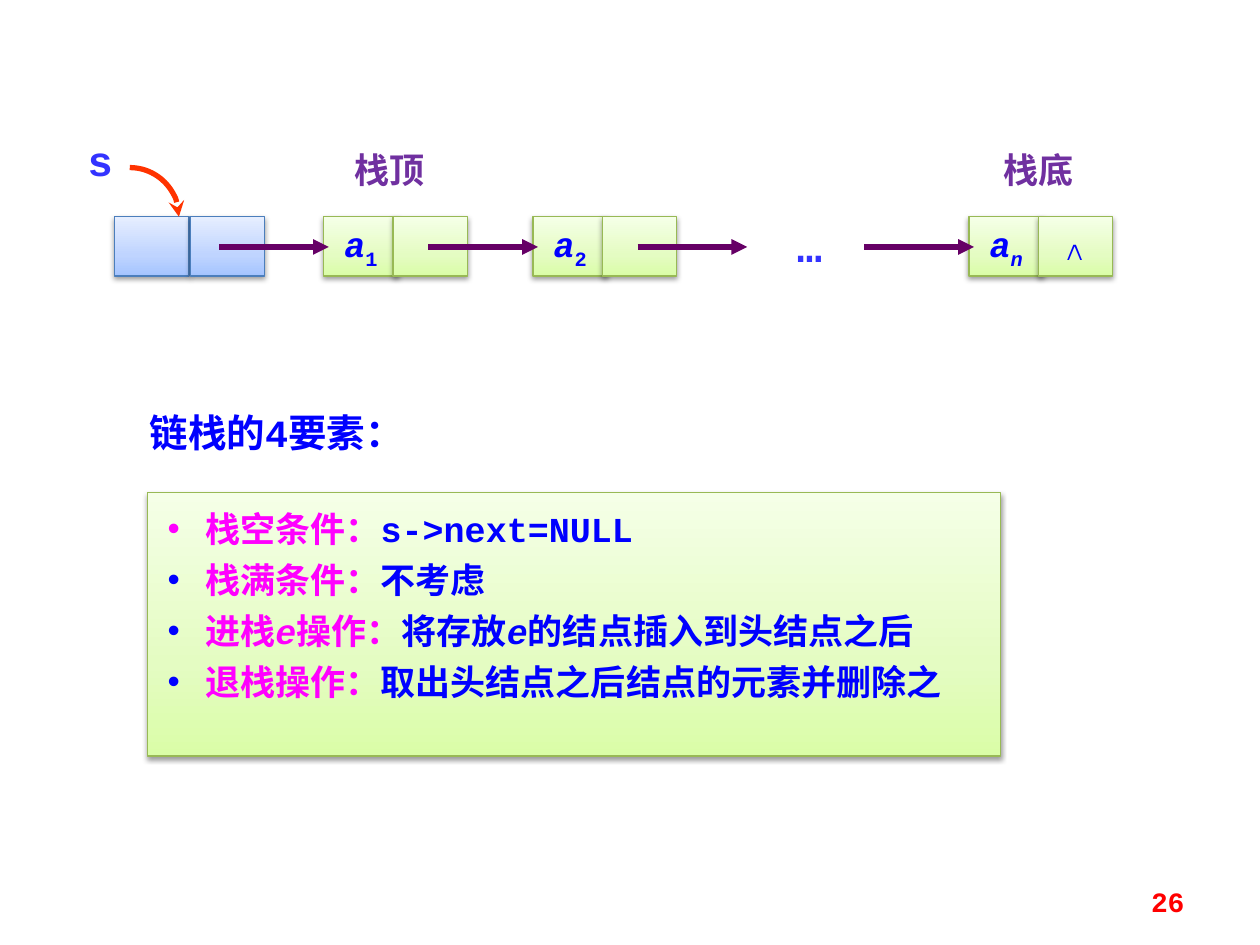
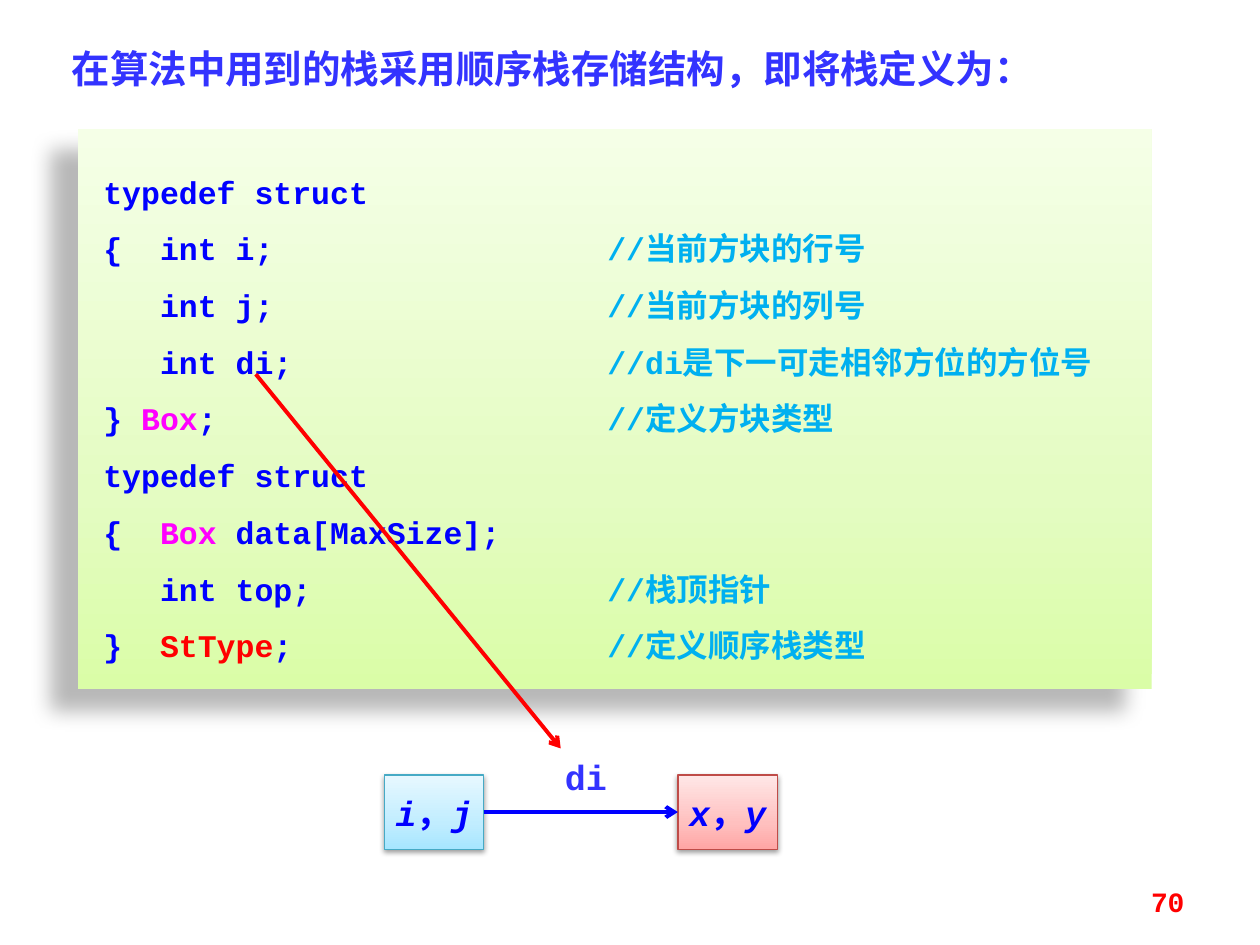
from collections import namedtuple

from lxml import etree
from pptx import Presentation
from pptx.dml.color import RGBColor
from pptx.enum import shapes, text
from pptx.oxml import ns
from pptx.util import Inches, Pt

COLORS = {
    "blue": "0000FF", "indigo": "3333FF", "pink": "FF00FF", "red": "FF0000",
    "purple": "7030A0", "plum": "660066", "orange": "FF3300", "sky": "00B0F0",
    "black": "000000", "green_line": "98B955", "head_line": "4B7EBC",
    "aqua_line": "46AAC5", "rose_line": "BF4C48",
}
GRADIENTS = {
    "green": ("DAFDA7", "E4FCC2", "F5FFE7"),
    "head": ("A4C4FF", "BFD4FF", "E6EEFF"),
    "aqua": ("A7E6FF", "C1EDFF", "E7F8FF"),
    "rose": ("FFA6A5", "FFC0BF", "FFE7E7"),
}
MONO, HAN = "Courier New", "Noto Sans CJK SC"
SOFT_SHADOW = (38, 3.1, 1.6, 90)
DEEP_SHADOW = (28, 11.8, 19.7, 141)
CENTER, LEFT, RIGHT = text.PP_ALIGN.CENTER, text.PP_ALIGN.LEFT, text.PP_ALIGN.RIGHT
TOP, MIDDLE = text.MSO_ANCHOR.TOP, text.MSO_ANCHOR.MIDDLE

Span = namedtuple("Span", "text color italic sub", defaults=(None, False, False))


def rgb(name):
    """Return the named colour."""
    return RGBColor.from_string(COLORS[name])


def sub(parent, tag, **attributes):
    """Append a drawing element to a parent."""
    return etree.SubElement(parent, ns.qn(tag), {k: str(v) for k, v in attributes.items()})


def inches(*lengths):
    """Convert numbers to lengths."""
    return [Inches(length) for length in lengths]


def style_para(para, size, color, font=MONO, align=LEFT):
    """Set the alignment and font that a paragraph's spans share."""
    para.alignment = align
    para.font.name, para.font.size, para.font.bold = font, Pt(size), True
    para.font.color.rgb = rgb(color)


def add_spans(para, spans):
    """Add spans that differ from the paragraph only where stated."""
    for span in spans:
        run = para.add_run()
        run.text = span.text
        if span.color:
            run.font.color.rgb = rgb(span.color)
        if span.italic:
            run.font.italic = True
        if span.sub:
            run.font._element.set("baseline", "-25000")


def set_frame(frame, anchor=TOP, wrap=True, insets=(0.1, 0.05, 0.1, 0.05)):
    """Set the anchor, wrapping and margins of a text frame."""
    frame.auto_size = text.MSO_AUTO_SIZE.NONE
    frame.word_wrap, frame.vertical_anchor = wrap, anchor
    (frame.margin_left, frame.margin_top,
     frame.margin_right, frame.margin_bottom) = inches(*insets)


def paragraphs(frame, count):
    """Yield the first paragraph and then new ones."""
    yield frame.paragraphs[0]
    for _ in range(count - 1):
        yield frame.add_paragraph()


def add_label(target, at, words, size, color, align=CENTER, anchor=TOP):
    """Add a one-line text box."""
    box = target.add_textbox(*inches(*at))
    set_frame(box.text_frame, anchor)
    para = box.text_frame.paragraphs[0]
    style_para(para, size, color, align=align)
    add_spans(para, [Span(words)])


def add_panel(target, at, gradient, line=None, shadow=SOFT_SHADOW):
    """Add a rectangle with a vertical gradient and a shadow."""
    panel = target.add_shape(shapes.MSO_SHAPE.RECTANGLE, *inches(*at))
    panel.fill.gradient()
    panel.fill.gradient_angle = 90
    stops = panel._element.spPr.find(".//" + ns.qn("a:gsLst"))
    for stop in list(stops):
        stops.remove(stop)
    for position, value in zip((0, 35, 100), GRADIENTS[gradient]):
        sub(sub(stops, "a:gs", pos=position * 1000), "a:srgbClr", val=value)
    if line:
        panel.line.color.rgb, panel.line.width = rgb(line), Pt(0.75)
    else:
        panel.line.fill.background()
    panel.shadow.inherit = False
    alpha, blur, distance, angle = shadow
    effect = sub(panel._element.spPr.find(ns.qn("a:effectLst")), "a:outerShdw",
                 blurRad=Pt(blur), dist=Pt(distance), dir=angle * 60000,
                 algn="ctr", rotWithShape=0)
    sub(sub(effect, "a:srgbClr", val=COLORS["black"]), "a:alpha", val=alpha * 1000)
    return panel


def add_cell(target, at, gradient, line, spans=()):
    """Add a node cell with centred content."""
    cell = add_panel(target, at, gradient, line)
    if spans:
        set_frame(cell.text_frame, MIDDLE, wrap=False)
        para = cell.text_frame.paragraphs[0]
        style_para(para, 20, "blue", align=CENTER)
        add_spans(para, spans)


def stroke(shape, color, width, head):
    """Colour a line and give its end an arrowhead."""
    shape.line.color.rgb, shape.line.width = rgb(color), Pt(width)
    sub(shape.line._get_or_add_ln(), "a:tailEnd", type=head)


def add_arrow(target, start, end, color, width, head):
    """Add a straight arrow."""
    arrow = target.add_connector(shapes.MSO_CONNECTOR.STRAIGHT, *inches(*start, *end))
    stroke(arrow, color, width, head)
    sub(arrow._element.spPr, "a:effectLst")


def add_page(deck, title, at, color, font, number):
    """Add a slide with its title and page number."""
    page = deck.slides.add_slide(deck.slide_layouts[5])
    heading = page.shapes.title
    heading.left, heading.top, heading.width, heading.height = inches(*at)
    set_frame(heading.text_frame)
    para = heading.text_frame.paragraphs[0]
    style_para(para, 22, color, font)
    add_spans(para, [Span(title)])
    add_label(page.shapes, (7.17, 6.95, 2.33, 0.4), number, 16, "red", RIGHT, MIDDLE)
    return page


def add_linked_list(target, left, top):
    """Draw the linked stack from its head node to its last node."""
    width, height, step, reach = 0.59, 0.47, 1.66, 0.83
    last = left + 6.78
    nodes = [
        (left, 0.6, "head", [], []),
        (left + step, 0.55, "green", [Span("a", italic=True), Span("1", sub=True)], []),
        (left + 2 * step, 0.55, "green", [Span("a", italic=True), Span("2", sub=True)], []),
        (last, 0.55, "green",
         [Span("a", italic=True), Span("n", italic=True, sub=True)], [Span("∧")]),
    ]
    for x, offset, gradient, data, link in nodes:
        for cell_x, spans in ((x, data), (x + offset, link)):
            add_cell(target, (cell_x, top, width, height), gradient, gradient + "_line", spans)
    middle = top + 0.24
    for x in [node[0] + reach for node in nodes[:-1]] + [last - reach]:
        add_arrow(target, (x, middle), (x + 0.87, middle), "plum", 3, "triangle")
    add_label(target, (left + 5.04, top - 0.02, 0.95, 0.5), "…", 24, "indigo")
    add_label(target, (left - 0.35, top - 0.7, 0.47, 0.5), "s", 24, "indigo")
    for x, words in ((left + 1.63, "栈顶"), (last, "栈底")):
        add_label(target, (x, top - 0.59, 1.1, 0.44), words, 20, "purple")
    pointer = target.add_shape(shapes.MSO_SHAPE.ARC,
                               *inches(left - 0.27, top - 0.39, 0.78, 0.78))
    pointer.fill.background()
    pointer.shadow.inherit = False
    stroke(pointer, "orange", 3, "stealth")


def add_elements(target, at):
    """List the conditions and operations of the linked stack."""
    items = [
        [Span("栈空条件：", "pink"), Span("s->next=NULL")],
        [Span("栈满条件：", "pink"), Span("不考虑")],
        [Span("进栈", "pink"), Span("e", "pink", True), Span("操作：", "pink"),
         Span("将存放"), Span("e", italic=True), Span("的结点插入到头结点之后")],
        [Span("退栈操作：", "pink"), Span("取出头结点之后结点的元素并删除之")],
    ]
    frame = add_panel(target, at, "green", "green_line").text_frame
    set_frame(frame, insets=(0.16, 0.12, 0.16, 0.12))
    for index, para in enumerate(paragraphs(frame, len(items))):
        properties = para._p.get_or_add_pPr()
        properties.set("marL", str(Inches(0.3)))
        properties.set("indent", str(Inches(-0.3)))
        if index:
            para.space_before = Pt(5)
        sub(sub(properties, "a:buClr"), "a:srgbClr", val=COLORS["blue" if index else "pink"])
        sub(properties, "a:buFont", typeface="Arial")
        sub(properties, "a:buChar", char="•")
        style_para(para, 20, "blue")
        add_spans(para, items[index])


def add_code(target, at):
    """Show the type definitions with their comments in a second column."""
    lines = [
        ([Span("typedef struct")], ""),
        ([Span("{  int i;")], "//当前方块的行号"),
        ([Span("   int j;")], "//当前方块的列号"),
        ([Span("   int di;")], "//di是下一可走相邻方位的方位号"),
        ([Span("} "), Span("Box", "pink"), Span(";")], "//定义方块类型"),
        ([Span("typedef struct")], ""),
        ([Span("{  "), Span("Box", "pink"), Span(" data[MaxSize];")], ""),
        ([Span("   int top;")], "//栈顶指针"),
        ([Span("}  "), Span("StType", "red"), Span(";")], "//定义顺序栈类型"),
    ]
    frame = add_panel(target, at, "green", shadow=DEEP_SHADOW).text_frame
    set_frame(frame, insets=(0.2, 0.2, 0.1, 0.2))
    for para, (code, comment) in zip(paragraphs(frame, len(lines)), lines):
        para.line_spacing = 1.5
        if comment:
            tabs = sub(para._p.get_or_add_pPr(), "a:tabLst")
            sub(tabs, "a:tab", pos=Inches(4), algn="l")
        style_para(para, 18, "blue")
        add_spans(para, code + ([Span("\t"), Span(comment, "sky")] if comment else []))


def add_move(target, left, top):
    """Draw the step from one square to its neighbour."""
    width, height, step = 0.79, 0.59, 2.33
    squares = (("aqua", "i", "j"), ("rose", "x", "y"))
    for index, (gradient, row, column) in enumerate(squares):
        add_cell(target, (left + index * step, top, width, height), gradient,
                 gradient + "_line",
                 [Span(row, italic=True), Span("，"), Span(column, italic=True)])
    middle = top + height / 2
    add_arrow(target, (left + width, middle), (left + step, middle), "blue", 2.25, "arrow")
    add_label(target, (left + 1.25, top - 0.2, 0.7, 0.44), "di", 20, "indigo")


def main():
    """Build and save the deck."""
    deck = Presentation()
    deck.slide_width, deck.slide_height = inches(10, 7.5)

    page = add_page(deck, "链栈的4要素：", (1.09, 3.2, 2.52, 0.47), "blue", MONO, "26")
    add_elements(page.shapes, (1.17, 3.91, 6.77, 2.09))
    add_linked_list(page.shapes, 0.91, 1.72)

    page = add_page(deck, "在算法中用到的栈采用顺序栈存储结构，即将栈定义为：",
                    (0.47, 0.31, 8.75, 0.47), "indigo", HAN, "70")
    add_code(page.shapes, (0.62, 1.02, 8.52, 4.45))
    add_move(page.shapes.add_group_shape().shapes, 3.05, 6.15)
    add_arrow(page.shapes, (2.03, 2.97), (4.45, 5.94), "red", 2.25, "arrow")

    deck.save("out.pptx")


if __name__ == "__main__":
    main()
